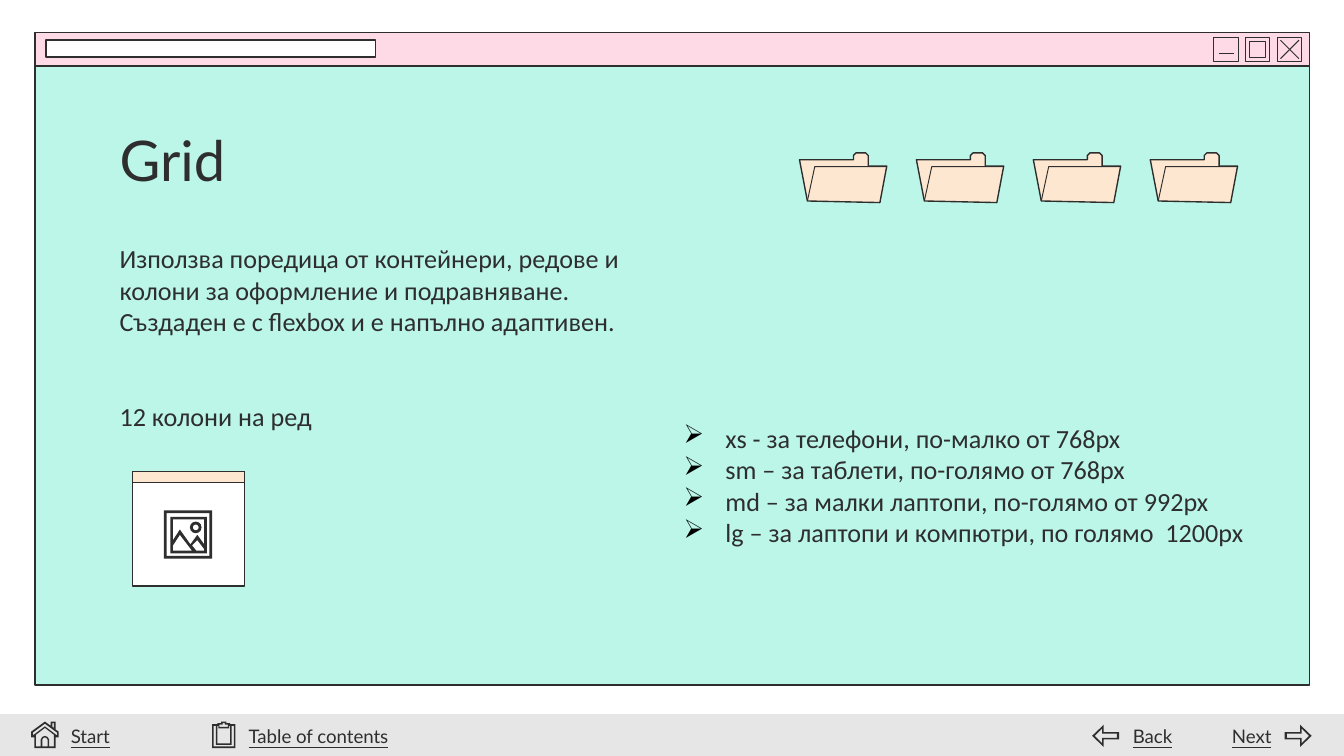
import pptx
import pptx.util
import pptx.dml.color
import pptx.enum.shapes
import pptx.enum.text
import pptx.oxml
import lxml.etree

Cm, Pt = pptx.util.Cm, pptx.util.Pt
RGBColor = pptx.dml.color.RGBColor
KIND = pptx.enum.shapes.MSO_SHAPE
ALIGN = pptx.enum.text.PP_ALIGN
ANCHOR = pptx.enum.text.MSO_ANCHOR

INK = RGBColor(0x2E, 0x2E, 0x2E)
MINT = RGBColor(0xBB, 0xF6, 0xE9)
PINK = RGBColor(0xFE, 0xDA, 0xE6)
CREAM = RGBColor(0xFD, 0xE7, 0xD0)
WHITE = RGBColor(0xFF, 0xFF, 0xFF)
GREY = RGBColor(0xE6, 0xE6, 0xE6)

deck = pptx.Presentation()
deck.slide_width, deck.slide_height = Cm(25.4), Cm(14.29)
slide = deck.slides.add_slide(deck.slide_layouts[5])
shapes = slide.shapes


def box(x, y, w, h):
    return [(x, y), (x + w, y), (x + w, y + h), (x, y + h)]


def draw(x, y, loops, fill=None, width=0, shut=True):
    """Draw outlines in cm around the corner x, y; inner loops are holes."""
    pen = None
    for loop in loops:
        spots = [(Cm(x + a), Cm(y + b)) for a, b in loop]
        if pen is None:
            pen = shapes.build_freeform(*spots[0], scale=1.0)
        else:
            pen.move_to(*spots[0])
        pen.add_line_segments(spots[1:], close=shut)
    form = pen.convert_to_shape()
    form.shadow.inherit = False
    if fill is None:
        form.fill.background()
    else:
        form.fill.solid()
        form.fill.fore_color.rgb = fill
    if width:
        form.line.color.rgb = INK
        form.line.width = Pt(width)
    else:
        form.line.fill.background()


# Window with title bar and address field
draw(0.66, 0.61, [box(0, 0, 24.09, 12.34)], MINT, 0.75)
draw(0.66, 0.61, [box(0, 0, 24.09, 0.64)], PINK, 0.75)
draw(0.87, 0.76, [box(0, 0, 6.23, 0.32)], WHITE, 0.75)

# Window buttons: minimize, maximize, close
signs = [
    [[(0.1, 0.31), (0.38, 0.31)]],
    [box(0.08, 0.08, 0.3, 0.3) + [(0.08, 0.08)]],
    [[(0.06, 0.06), (0.41, 0.41)], [(0.41, 0.06), (0.06, 0.41)]],
]
for i, sign in enumerate(signs):
    draw(22.94 + 0.6 * i, 0.7, [box(0, 0, 0.46, 0.46)], None, 0.5)
    draw(22.94 + 0.6 * i, 0.7, sign, None, 0.5, False)

# Footer strip
strip = shapes.add_shape(KIND.RECTANGLE, 0, Cm(13.5), Cm(25.4), Cm(0.79))
strip.shadow.inherit = False
strip.fill.solid()
strip.fill.fore_color.rgb = GREY
strip.line.fill.background()

# Folders
body = [(1.07, 0), (1.02, 0.05), (1.02, 0.13), (0, 0.13), (0.15, 0.91),
        (1.52, 0.94), (1.65, 0.25), (1.3, 0.25), (1.3, 0.05), (1.25, 0)]
flap = [(0.15, 0.91), (0.29, 0.26), (1.65, 0.26)]
for i in range(4):
    draw(15.11 + 2.21 * i, 2.89, [body], CREAM, 0.75)
    draw(15.11 + 2.21 * i, 2.89, [flap], None, 0.5, False)

# Card
draw(2.51, 8.91, [box(0, 0, 2.11, 2.17)], WHITE, 0.75)
draw(2.51, 8.91, [box(0, 0, 2.11, 0.21)], CREAM, 0.75)

# Icons: each is an outer loop with holes
arrow = [
    [(0, 0.14), (0.29, 0.14), (0.29, 0), (0.51, 0.21), (0.29, 0.42),
     (0.29, 0.28), (0, 0.28)],
    [(0.04, 0.17), (0.32, 0.17), (0.32, 0.07), (0.46, 0.21), (0.32, 0.35),
     (0.32, 0.25), (0.04, 0.25)],
]
back = [[(0.51 - a, b) for a, b in loop] for loop in arrow]
house = [
    [(0.26, 0), (0, 0.19), (0, 0.3), (0.06, 0.3), (0.06, 0.5), (0.46, 0.5),
     (0.46, 0.3), (0.52, 0.3), (0.52, 0.19), (0.46, 0.15), (0.46, 0),
     (0.37, 0), (0.37, 0.08)],
    [(0.26, 0.04), (0.49, 0.21), (0.49, 0.26), (0.46, 0.24), (0.26, 0.09),
     (0.06, 0.24), (0.03, 0.26), (0.03, 0.21)],
    [(0.4, 0.03), (0.43, 0.03), (0.43, 0.12), (0.4, 0.1)],
    [(0.26, 0.12), (0.43, 0.25), (0.43, 0.47), (0.34, 0.47), (0.34, 0.34),
     (0.31, 0.29), (0.26, 0.27), (0.21, 0.29), (0.18, 0.34), (0.18, 0.47),
     (0.09, 0.47), (0.09, 0.25)],
    [(0.26, 0.3), (0.29, 0.31), (0.31, 0.34), (0.31, 0.47), (0.21, 0.47),
     (0.21, 0.34), (0.23, 0.31)],
]
board = [
    [(0, 0.05), (0.1, 0.05), (0.1, 0.03), (0.17, 0.03), (0.17, 0), (0.27, 0),
     (0.27, 0.03), (0.34, 0.03), (0.34, 0.05), (0.44, 0.05), (0.44, 0.5),
     (0, 0.5)],
    [(0.03, 0.08), (0.07, 0.08), (0.07, 0.44), (0.37, 0.44), (0.37, 0.08),
     (0.41, 0.08), (0.41, 0.47), (0.03, 0.47)],
    [(0.1, 0.08), (0.1, 0.41), (0.34, 0.41), (0.34, 0.08), (0.32, 0.08),
     (0.32, 0.13), (0.12, 0.13), (0.12, 0.08)],
    [(0.14, 0.06), (0.2, 0.06), (0.2, 0.03), (0.24, 0.03), (0.24, 0.06),
     (0.3, 0.06), (0.3, 0.1), (0.14, 0.1)],
]
frame = [box(0, 0, 0.91, 0.91), box(0.05, 0.05, 0.81, 0.81)]
hills = [
    box(0.12, 0.12, 0.69, 0.69),
    [(0.17, 0.17), (0.76, 0.17), (0.76, 0.64), (0.63, 0.46), (0.5, 0.64),
     (0.3, 0.36), (0.17, 0.56)],
    [(0.3, 0.46), (0.53, 0.76), (0.17, 0.76), (0.17, 0.66)],
    [(0.63, 0.56), (0.76, 0.73), (0.76, 0.76), (0.61, 0.76), (0.53, 0.66)],
]
for x, y, icon in [(24.28, 13.7, arrow), (20.64, 13.7, back),
                   (0.59, 13.64, house), (4.01, 13.64, board),
                   (3.1, 9.65, frame), (3.1, 9.65, hills)]:
    draw(x, y, icon, INK)

sun = shapes.add_shape(KIND.DONUT, Cm(3.59), Cm(9.86), Cm(0.22), Cm(0.22))
sun.adjustments[0] = 0.25
sun.shadow.inherit = False
sun.fill.solid()
sun.fill.fore_color.rgb = INK
sun.line.fill.background()

# Title, brought in front of the window
title = shapes.title
shapes.element.append(title.element)
title.left, title.top = Cm(2.01), Cm(2.13)
title.width, title.height = Cm(21.41), Cm(1.75)

# Texts: holder, lines, size, font, align, anchor, side and top margins
intro = ["Използва поредица от контейнери, редове и колони за оформление и "
         "подравняване. Създаден е с flexbox и е напълно адаптивен.",
         "12 колони на ред"]
sizes = ["xs - за телефони, по-малко от 768px",
         "sm – за таблети, по-голямо от 768px",
         "md – за малки лаптопи, по-голямо от 992px",
         "lg – за лаптопи и компютри, по голямо  1200px"]
about = shapes.add_textbox(Cm(2.01), Cm(4.34), Cm(10.31), Cm(4.93))
guide = shapes.add_textbox(Cm(12.67), Cm(7.85), Cm(12.4), Cm(3.25))
texts = [(title, ["Grid"], 30, "Lato", ALIGN.LEFT, ANCHOR.TOP, 0.25),
         (about, intro, 14, "Calibri", ALIGN.LEFT, ANCHOR.TOP, 0.25),
         (guide, sizes, 14, "Calibri", ALIGN.LEFT, ANCHOR.TOP, 0.13)]
links = [("Next", 22.91, 1.37, ALIGN.RIGHT), ("Back", 21.16, 1.37, ALIGN.LEFT),
         ("Start", 1.09, 1.98, ALIGN.LEFT),
         ("Table of contents", 4.45, 3.91, ALIGN.LEFT)]
for word, x, w, side in links:
    link = shapes.add_textbox(Cm(x), Cm(13.46), Cm(w), Cm(0.89))
    texts.append((link, [word], 10, "Lato", side, ANCHOR.MIDDLE, 0.25))

for holder, lines, size, font, side, anchor, gap in texts:
    text = holder.text_frame
    text.text = "\n".join(lines)
    text.word_wrap = True
    text.auto_size = pptx.enum.text.MSO_AUTO_SIZE.NONE
    text.vertical_anchor = anchor
    text.margin_left = text.margin_right = Cm(0.25)
    text.margin_top = text.margin_bottom = Cm(gap)
    for line in text.paragraphs:
        line.alignment = side
        line.font.size = Pt(size)
        line.font.name = font
        line.font.color.rgb = INK
        line.font.underline = size == 10
about.text_frame.paragraphs[1].space_before = Pt(34)

# Arrow bullets
for line in guide.text_frame.paragraphs:
    props = line._p.get_or_add_pPr()
    props.set("marL", str(Cm(0.79)))
    props.set("indent", str(-Cm(0.79)))
    tint = lxml.etree.Element(pptx.oxml.ns.qn("a:buClr"))
    lxml.etree.SubElement(tint, pptx.oxml.ns.qn("a:srgbClr"), val="000000")
    mark = lxml.etree.Element(pptx.oxml.ns.qn("a:buChar"), char="➢")
    props.insert(0, tint)
    props.insert(1, mark)

deck.save("out.pptx")
